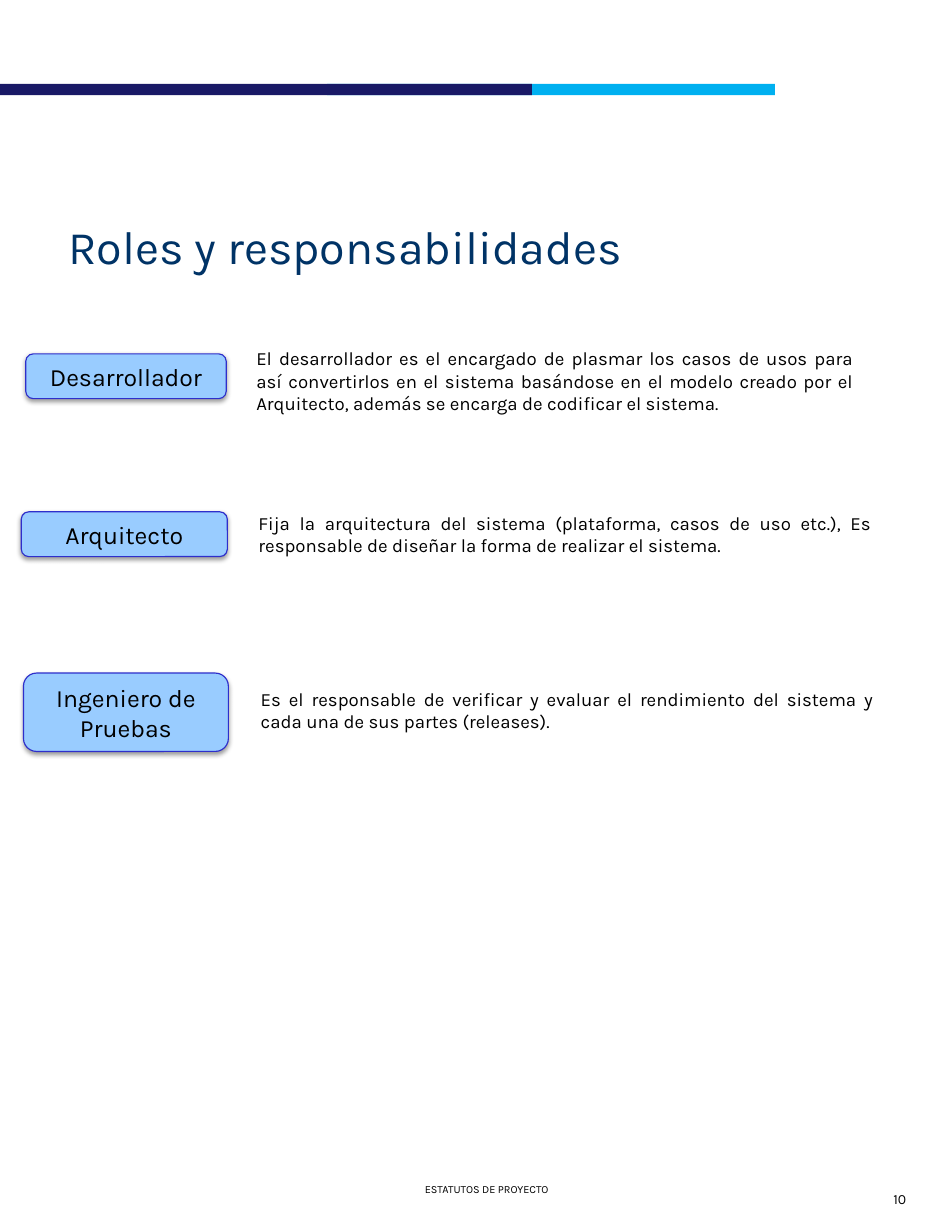
import pptx
import pptx.util
import pptx.dml.color
import pptx.enum.shapes
import pptx.enum.text
import pptx.oxml
import pptx.oxml.ns
from pptx.util import Inches, Pt

ALIGN = pptx.enum.text.PP_ALIGN
ANCHOR = pptx.enum.text.MSO_ANCHOR
SHAPE = pptx.enum.shapes.MSO_SHAPE
SHADOW = (
    f'<a:outerShdw {pptx.oxml.ns.nsdecls("a")} blurRad="{Pt(3.1)}" dist="{Pt(1.6)}" '
    'dir="5400000" rotWithShape="0"><a:srgbClr val="000000"><a:alpha val="38000"/>'
    '</a:srgbClr></a:outerShdw>'
)


def rgb(value):
    return pptx.dml.color.RGBColor.from_string(value)


def write(sp, text, size, align, color="000000", anchor=ANCHOR.TOP):
    tf = sp.text_frame
    tf.word_wrap = True
    tf.vertical_anchor = anchor
    tf.text = text
    p = tf.paragraphs[0]
    p.alignment = align
    font = p.runs[0].font
    font.name = "Karla"
    font.size = Pt(size)
    font.color.rgb = rgb(color)
    return p


prs = pptx.Presentation()
prs.slide_width = Inches(8.5)
prs.slide_height = Inches(11)
s = prs.slides.add_slide(prs.slide_layouts[6])

# Header bar: the dark part overlaps the light one
for left, width, color in [(2.92, 4, "00B0F0"), (0, 4.75, "191966")]:
    bar = s.shapes.add_shape(SHAPE.RECTANGLE, Inches(left), Inches(0.75), Inches(width), Inches(0.1))
    bar.shadow.inherit = False
    bar.fill.solid()
    bar.fill.fore_color.rgb = rgb(color)
    bar.line.fill.background()

# Footer and page number
footer = s.shapes.add_textbox(Inches(2.88), Inches(10.51), Inches(2.93), Inches(0.22))
write(footer, "ESTATUTOS DE PROYECTO", 7, ALIGN.CENTER)
number = s.shapes.add_textbox(Inches(7.69), Inches(10.58), Inches(0.5), Inches(0.25))
write(number, "10", 9, ALIGN.RIGHT)

title = s.shapes.add_textbox(Inches(0.51), Inches(1.58), Inches(7.58), Inches(0.92))
p = write(title, "Roles y responsabilidades", 30, ALIGN.LEFT, "003366", ANCHOR.BOTTOM)
p.line_spacing = 0.9

# Each role: name, box position and size, description, description position and size
roles = [
    ("Desarrollador", (0.23, 3.16, 1.79, 0.4),
     "El desarrollador es el encargado de plasmar los casos de usos para así convertirlos "
     "en el sistema basándose en el modelo creado por el Arquitecto, además se encarga de "
     "codificar el sistema.", (2.19, 3.05, 5.53, 0.71)),
    ("Arquitecto", (0.19, 4.57, 1.84, 0.4),
     "Fija la arquitectura del sistema (plataforma, casos de uso etc.), Es responsable de "
     "diseñar la forma de realizar el sistema.", (2.21, 4.52, 5.67, 0.5)),
    ("Ingeniero de Pruebas", (0.21, 6.01, 1.83, 0.7),
     "Es el responsable de verificar y evaluar el rendimiento del sistema y cada una de sus "
     "partes (releases).", (2.23, 6.09, 5.67, 0.5)),
]
for name, box_at, description, text_at in roles:
    tb = s.shapes.add_textbox(*map(Inches, text_at))
    write(tb, description, 12, ALIGN.JUSTIFY)

    box = s.shapes.add_shape(SHAPE.ROUNDED_RECTANGLE, *map(Inches, box_at))
    box.fill.solid()
    box.fill.fore_color.rgb = rgb("99CCFF")
    box.line.color.rgb = rgb("2E2ECB")
    box.line.width = Pt(0.75)
    box.shadow.inherit = False
    effects = box._element.spPr.find(pptx.oxml.ns.qn("a:effectLst"))
    effects.append(pptx.oxml.parse_xml(SHADOW))
    write(box, name, 16, ALIGN.CENTER, anchor=ANCHOR.MIDDLE)
    box.text_frame.margin_left = box.text_frame.margin_right = Inches(0.09)

prs.save("out.pptx")
